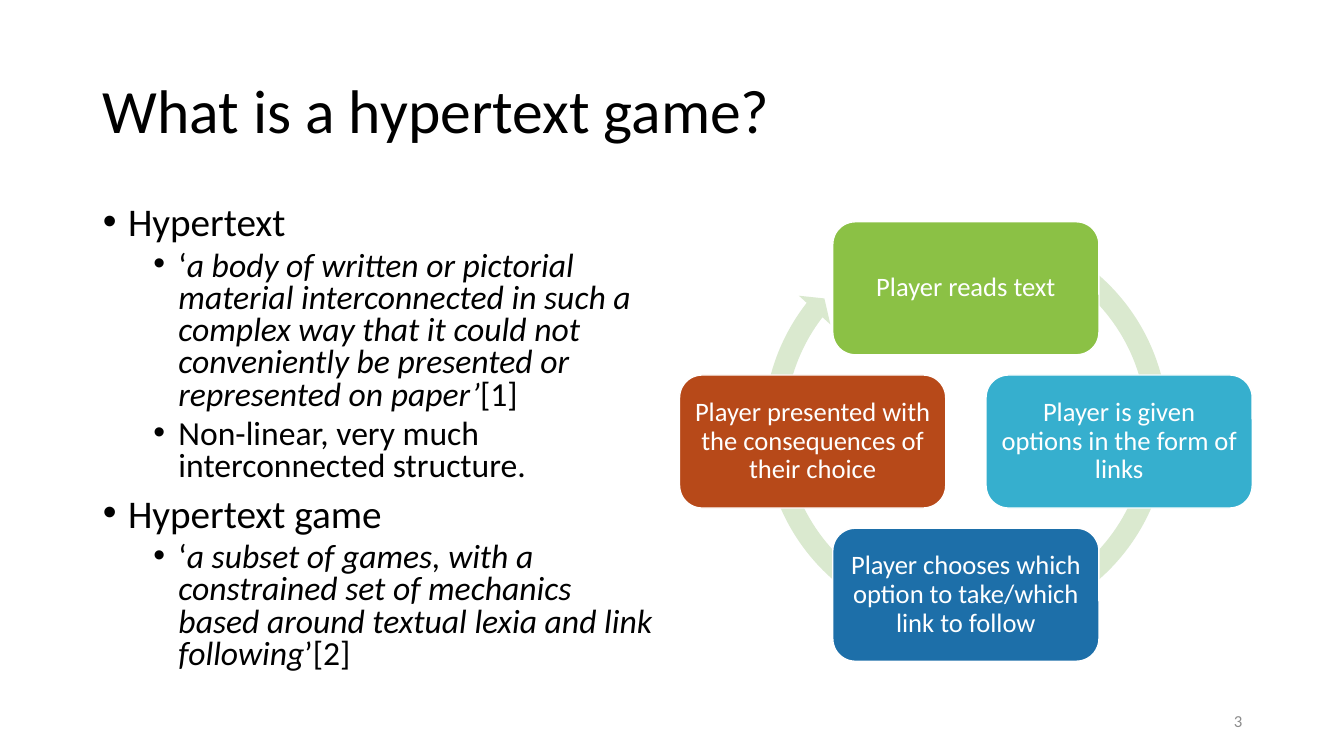
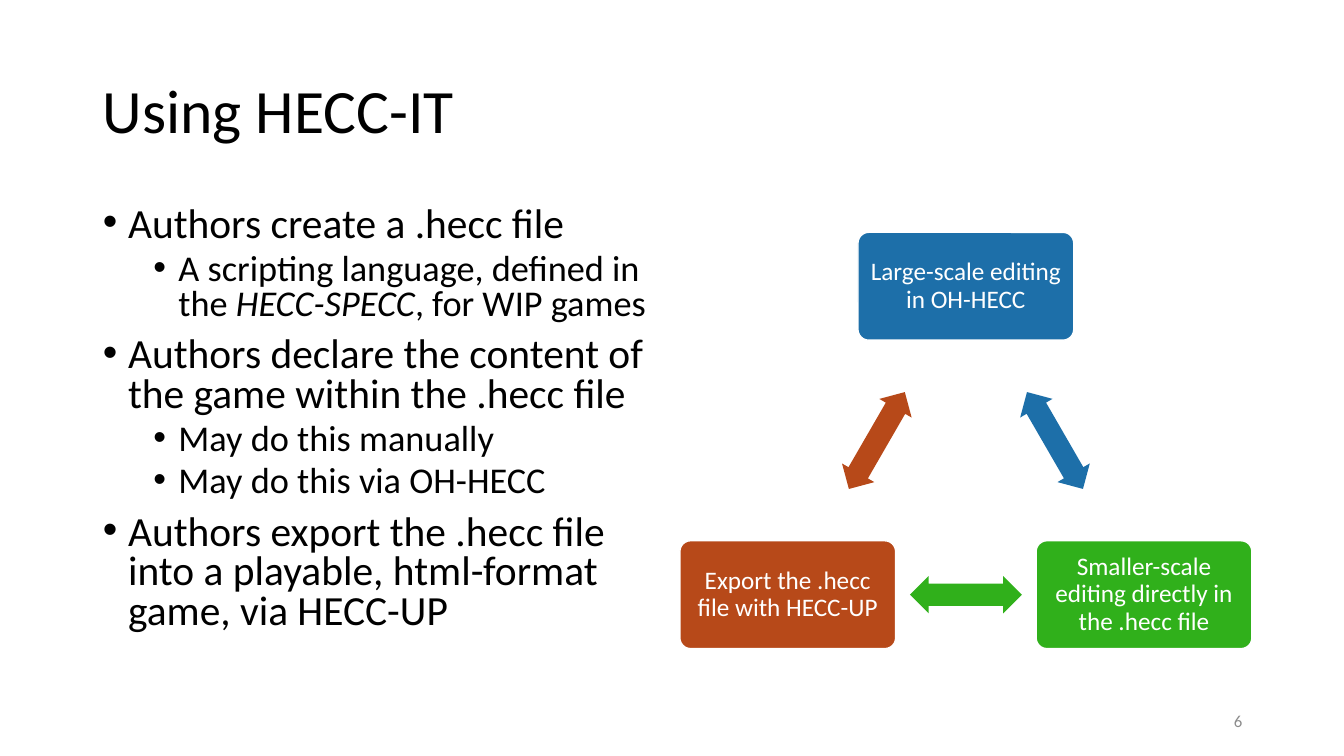
"""Build two slides that pair a bullet list with a ring diagram."""
from math import cos, radians, sin

from lxml.etree import SubElement
from pptx import Presentation
from pptx.dml.color import RGBColor
from pptx.enum.shapes import MSO_SHAPE as Shape
from pptx.enum.text import MSO_ANCHOR as Anchor
from pptx.enum.text import MSO_AUTO_SIZE as Fit
from pptx.enum.text import PP_ALIGN as Align
from pptx.oxml.ns import qn
from pptx.util import Emu, Pt

PX = 9144
FACE = "Calibri"
BLACK = RGBColor(0x00, 0x00, 0x00)
WHITE = RGBColor(0xFF, 0xFF, 0xFF)
GREY = RGBColor(0x8C, 0x8C, 0x8C)
PALE = RGBColor(0xDA, 0xE9, 0xCF)
LIME = RGBColor(0x8B, 0xC1, 0x45)
CYAN = RGBColor(0x36, 0xAF, 0xCE)
BLUE = RGBColor(0x1D, 0x6F, 0xA9)
RUST = RGBColor(0xB7, 0x49, 0x19)
GREEN = RGBColor(0x30, 0xB0, 0x1B)

TITLE = (92, 40, 1150, 145)
BODY = (92, 200, 567, 476)
NUMBER = (942, 695, 300, 40)
INDENTS = (25, 75)
HANG = 25
GAPS = (10, 5)

# Runs at odd places in a bullet are italic.
GAME = {
    "title": "What is a hypertext game?",
    "number": "3",
    "sizes": (28, 24),
    "bullets": [
        (0, ["Hypertext"]),
        (1, ["‘", "a body of written or pictorial material interconnected in "
             "such a complex way that it could not conveniently be presented "
             "or represented on paper’", "[1]"]),
        (1, ["Non-linear, very much interconnected structure."]),
        (0, ["Hypertext game"]),
        (1, ["‘", "a subset of games, with a constrained set of mechanics "
             "based around textual lexia and link following", "’[2]"]),
    ],
    "steps": [
        ("Player reads text", LIME),
        ("Player is given options in the form of links", CYAN),
        ("Player chooses which option to take/which link to follow", BLUE),
        ("Player presented with the consequences of their choice", RUST),
    ],
    "ring": {"hub": (958, 438), "radius": 152},
    "box": {"size": (264, 132), "round": 0.17, "inset": 8, "points": 19},
}
TOOL = {
    "title": "Using HECC-IT",
    "number": "6",
    "sizes": (29.6, 25.9),
    "bullets": [
        (0, ["Authors create a .hecc file"]),
        (1, ["A scripting language, defined in the ", "HECC-SPECC",
             ", for WIP games"]),
        (0, ["Authors declare the content of the game within the .hecc file"]),
        (1, ["May do this manually"]),
        (1, ["May do this via OH-HECC"]),
        (0, ["Authors export the .hecc file into a playable, html-format "
             "game, via HECC-UP"]),
    ],
    "steps": [
        ("Large-scale editing in OH-HECC", BLUE),
        ("Smaller-scale editing directly in the .hecc file", GREEN),
        ("Export the .hecc file with HECC-UP", RUST),
    ],
    "ring": {"hub": (958, 488), "radius": 204},
    "box": {"size": (214, 107), "round": 0.1, "inset": 7, "points": 18},
}
LOOP = {"mid": (958, 424), "size": (422, 422),
        "turns": (0.05, 2.73, 130.68, 178.72, 0.05)}
ARROW = {"size": (111, 37), "turns": (0.6, 0.5)}


def px(*sizes):
    return [Emu(round(size * PX)) for size in sizes]


def place(shape, area):
    shape.left, shape.top, shape.width, shape.height = px(*area)


def style(para, size, color, align=Align.LEFT, lines=None):
    para.alignment = align
    para.line_spacing = lines
    font = para.font
    font.name, font.size = FACE, Pt(size)
    font.color.rgb = color


def draw(slide, kind, mid, size, fill, turns):
    left, top = (m - s / 2 for m, s in zip(mid, size))
    shape = slide.shapes.add_shape(kind, *px(left, top, *size))
    shape.shadow.inherit = False
    shape.fill.solid()
    shape.fill.fore_color.rgb = fill
    shape.line.fill.background()
    for i, turn in enumerate(turns):
        shape.adjustments[i] = turn
    return shape


def add_list(frame, bullets, sizes):
    frame.auto_size = Fit.NONE
    for i, (level, runs) in enumerate(bullets):
        para = frame.add_paragraph() if i else frame.paragraphs[0]
        para.level = level
        props = para._p.get_or_add_pPr()
        left, hang = px(INDENTS[level], -HANG)
        props.set("marL", str(left))
        props.set("indent", str(hang))
        SubElement(props, qn("a:buFont"), typeface="Arial")
        SubElement(props, qn("a:buChar"), char="•")
        para.space_before, para.space_after = Pt(GAPS[level]), Pt(0)
        style(para, sizes[level], BLACK, lines=0.8)
        for j, text in enumerate(runs):
            run = para.add_run()
            run.text = text
            if j % 2:
                run.font.italic = True


def add_base(deck, data):
    slide = deck.slides.add_slide(deck.slide_layouts[1])
    title, body = slide.placeholders
    place(title, TITLE)
    frame = title.text_frame
    frame.text = data["title"]
    frame.auto_size = Fit.NONE
    frame.vertical_anchor = Anchor.MIDDLE
    style(frame.paragraphs[0], 44, BLACK, lines=0.9)
    place(body, BODY)
    add_list(body.text_frame, data["bullets"], data["sizes"])
    frame = slide.shapes.add_textbox(*px(*NUMBER)).text_frame
    frame.word_wrap = True
    frame.vertical_anchor = Anchor.MIDDLE
    frame.text = data["number"]
    style(frame.paragraphs[0], 12, GREY, Align.RIGHT)
    return slide


def ring_spots(hub, radius, count):
    angles = [radians(360 * i / count - 90) for i in range(count)]
    return [(hub[0] + radius * cos(a), hub[1] + radius * sin(a))
            for a in angles]


def add_boxes(slide, data):
    box, steps = data["box"], data["steps"]
    spots = ring_spots(**data["ring"], count=len(steps))
    for (text, fill), spot in zip(steps, spots):
        shape = draw(slide, Shape.ROUNDED_RECTANGLE, spot, box["size"], fill,
                     [box["round"]])
        shape.line.color.rgb = WHITE
        shape.line.width = Pt(1)
        frame = shape.text_frame
        frame.text = text
        frame.word_wrap = True
        frame.vertical_anchor = Anchor.MIDDLE
        (frame.margin_left, frame.margin_top, frame.margin_right,
         frame.margin_bottom) = px(*[box["inset"]] * 4)
        style(frame.paragraphs[0], box["points"], WHITE, Align.CENTER, 0.9)
    return spots


def add_arrows(slide, steps, spots):
    count = len(spots)
    for i, (_, fill) in enumerate(steps):
        ends = zip(spots[i], spots[(i + 1) % count])
        mid = [(a + b) / 2 for a, b in ends]
        arrow = draw(slide, Shape.LEFT_RIGHT_ARROW, mid, ARROW["size"], fill,
                     ARROW["turns"])
        arrow.rotation = 60 + 360 * i / count


def main():
    deck = Presentation()
    deck.slide_width, deck.slide_height = px(1333, 750)
    slide = add_base(deck, GAME)
    draw(slide, Shape.CIRCULAR_ARROW, LOOP["mid"], LOOP["size"], PALE,
         LOOP["turns"])
    add_boxes(slide, GAME)
    slide = add_base(deck, TOOL)
    add_arrows(slide, TOOL["steps"], add_boxes(slide, TOOL))
    deck.save("out.pptx")


if __name__ == "__main__":
    main()
